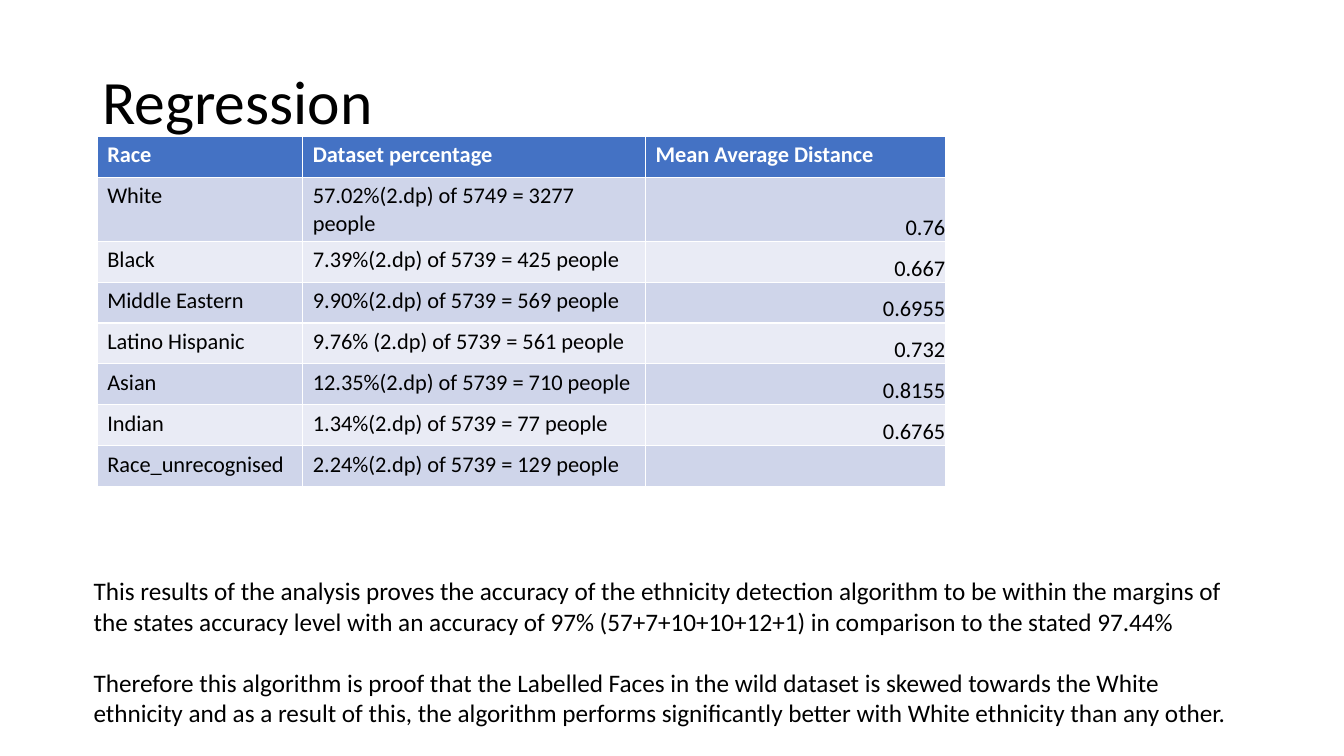
from pptx import Presentation
from pptx.dml.color import RGBColor
from pptx.enum.text import MSO_ANCHOR as Anchor, PP_ALIGN as Align
from pptx.util import Cm, Pt

FONT = "Calibri"
BLACK = RGBColor(0x00, 0x00, 0x00)
WHITE = RGBColor(0xFF, 0xFF, 0xFF)
HEADER_BLUE = RGBColor(0x44, 0x72, 0xC4)
BAND_DARK = RGBColor(0xCF, 0xD5, 0xEA)
BAND_LIGHT = RGBColor(0xE9, 0xEB, 0xF5)

COLUMN_WIDTHS = (5.18, 8.64, 7.57)
ROW_HEIGHT = 1.03
HEADINGS = ("Race", "Dataset percentage", "Mean Average Distance")
RESULTS = (
    ("White", "57.02%(2.dp) of 5749 = 3277 people", "0.76"),
    ("Black", "7.39%(2.dp) of 5739 = 425 people", "0.667"),
    ("Middle Eastern", "9.90%(2.dp) of 5739 = 569 people", "0.6955"),
    ("Latino Hispanic", "9.76% (2.dp) of 5739 = 561 people", "0.732"),
    ("Asian", "12.35%(2.dp) of 5739 = 710 people", "0.8155"),
    ("Indian", "1.34%(2.dp) of 5739 = 77 people", "0.6765"),
    ("Race_unrecognised", "2.24%(2.dp) of 5739 = 129 people", ""),
)
CONCLUSIONS = (
    "This results of the analysis proves the accuracy of the ethnicity detection "
    "algorithm to be within the margins of the states accuracy level with an accuracy "
    "of 97% (57+7+10+10+12+1) in comparison to the stated 97.44%",
    "Therefore this algorithm is proof that the Labelled Faces in the wild dataset is "
    "skewed towards the White ethnicity and as a result of this, the algorithm performs "
    "significantly better with White ethnicity than any other.",
)


def write(p, text, size=16, color=BLACK, bold=False, align=Align.LEFT):
    """Add formatted text to a paragraph."""
    p.alignment = align
    r = p.add_run()
    r.text = text
    r.font.name = FONT
    r.font.size = Pt(size)
    r.font.bold = bold
    r.font.color.rgb = color


def add_text(s, left, top, width, height, paragraphs, size,
             anchor=Anchor.TOP, line_spacing=1.0, gap=0):
    """Add a wrapping text box with one or more paragraphs."""
    sp = s.shapes.add_textbox(Cm(left), Cm(top), Cm(width), Cm(height))
    tf = sp.text_frame
    tf.word_wrap = True
    tf.vertical_anchor = anchor
    for i, text in enumerate(paragraphs):
        p = tf.add_paragraph() if i else tf.paragraphs[0]
        p.line_spacing = line_spacing
        p.space_before = Pt(gap if i else 0)
        write(p, text, size=size)


def fill_cell(cell, text, fill, distance=False, **style):
    """Colour a table cell and write its text, distances at bottom right."""
    cell.fill.solid()
    cell.fill.fore_color.rgb = fill
    if not text:
        return
    if distance:
        cell.vertical_anchor = Anchor.BOTTOM
        cell.margin_left = cell.margin_top = cell.margin_right = Cm(0.02)
        cell.margin_bottom = 0
        style["align"] = Align.RIGHT
    write(cell.text_frame.paragraphs[0], text, **style)


def add_results(s, left, top):
    """Add the table of results per race."""
    rows = len(RESULTS) + 1
    table = s.shapes.add_table(rows, len(HEADINGS), Cm(left), Cm(top),
                               Cm(sum(COLUMN_WIDTHS)), Cm(ROW_HEIGHT * rows)).table
    for column, width in zip(table.columns, COLUMN_WIDTHS):
        column.width = Cm(width)
    for row in table.rows:
        row.height = Cm(ROW_HEIGHT)
    for j, heading in enumerate(HEADINGS):
        fill_cell(table.cell(0, j), heading, HEADER_BLUE, color=WHITE, bold=True)
    for i, result in enumerate(RESULTS, 1):
        band = BAND_DARK if i % 2 else BAND_LIGHT
        for j, text in enumerate(result):
            fill_cell(table.cell(i, j), text, band, distance=j == 2)


def main():
    """Build the regression slide."""
    prs = Presentation()
    prs.slide_width, prs.slide_height = Cm(33.87), Cm(19.05)
    s = prs.slides.add_slide(prs.slide_layouts[6])
    add_text(s, 2.33, 0.79, 29.21, 3.68, ["Regression"], 44,
             anchor=Anchor.MIDDLE, line_spacing=0.9)
    add_results(s, 2.45, 3.44)
    add_text(s, 2.11, 14.38, 29.64, 4.11, CONCLUSIONS, 18, gap=22)
    prs.save("out.pptx")


if __name__ == "__main__":
    main()
